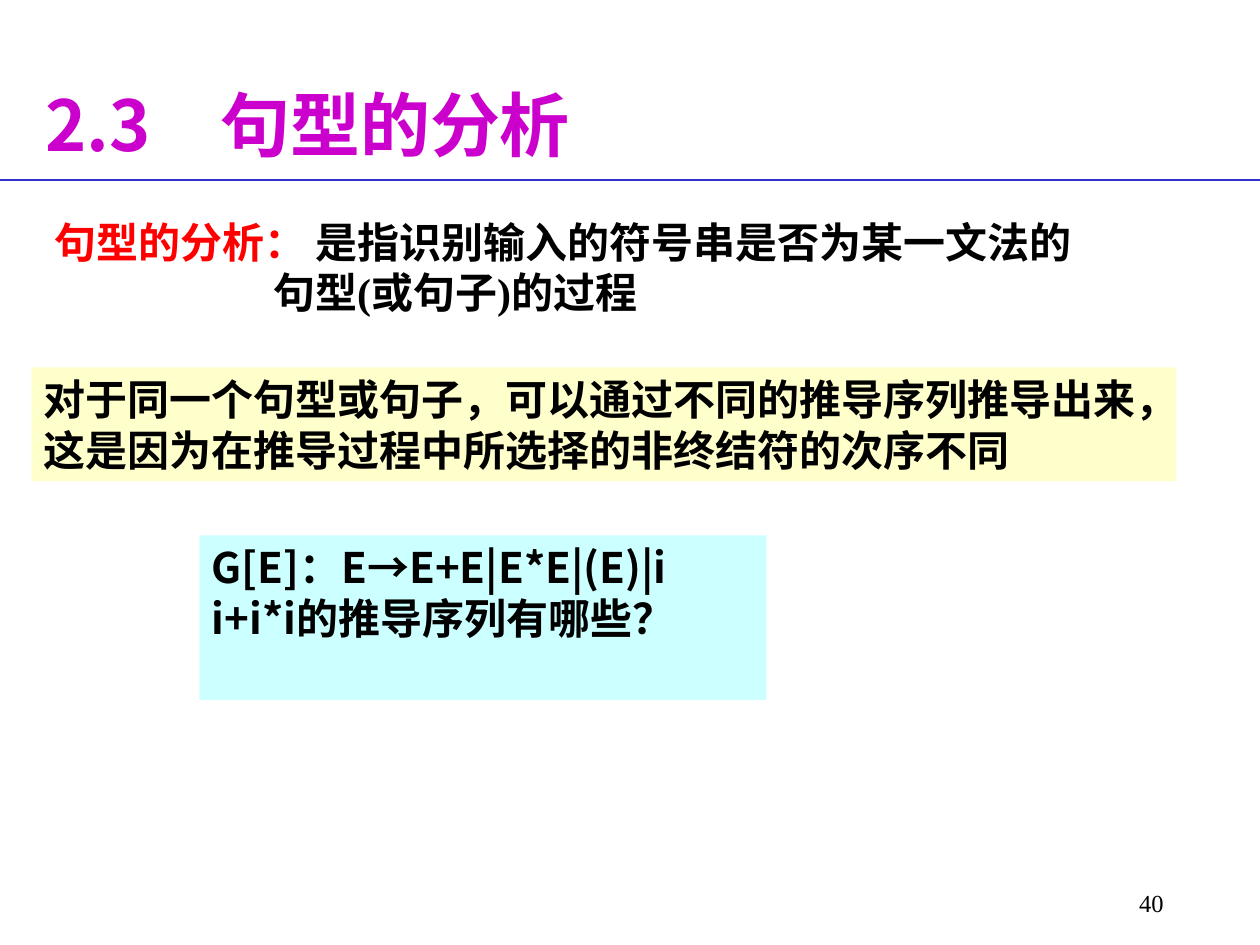
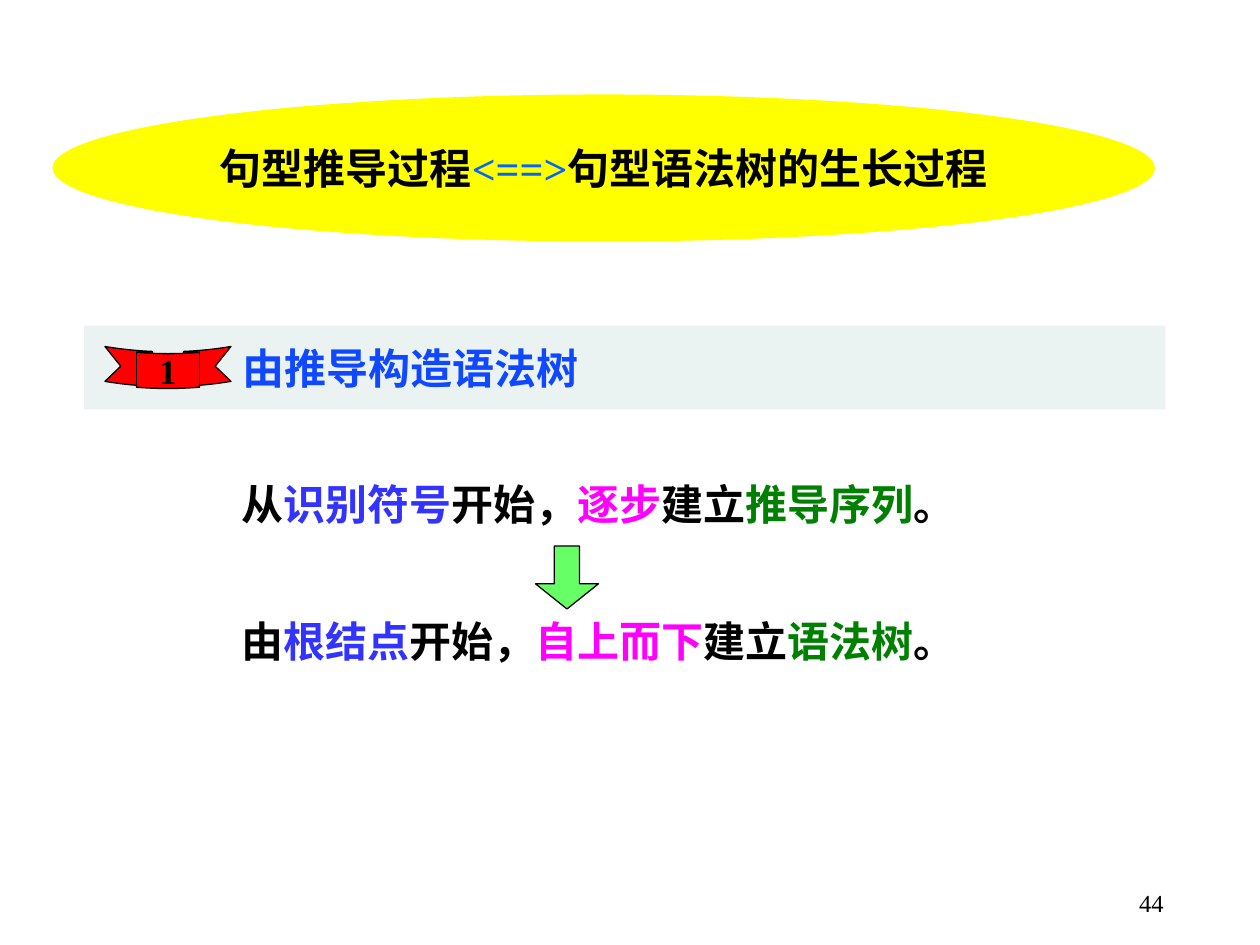
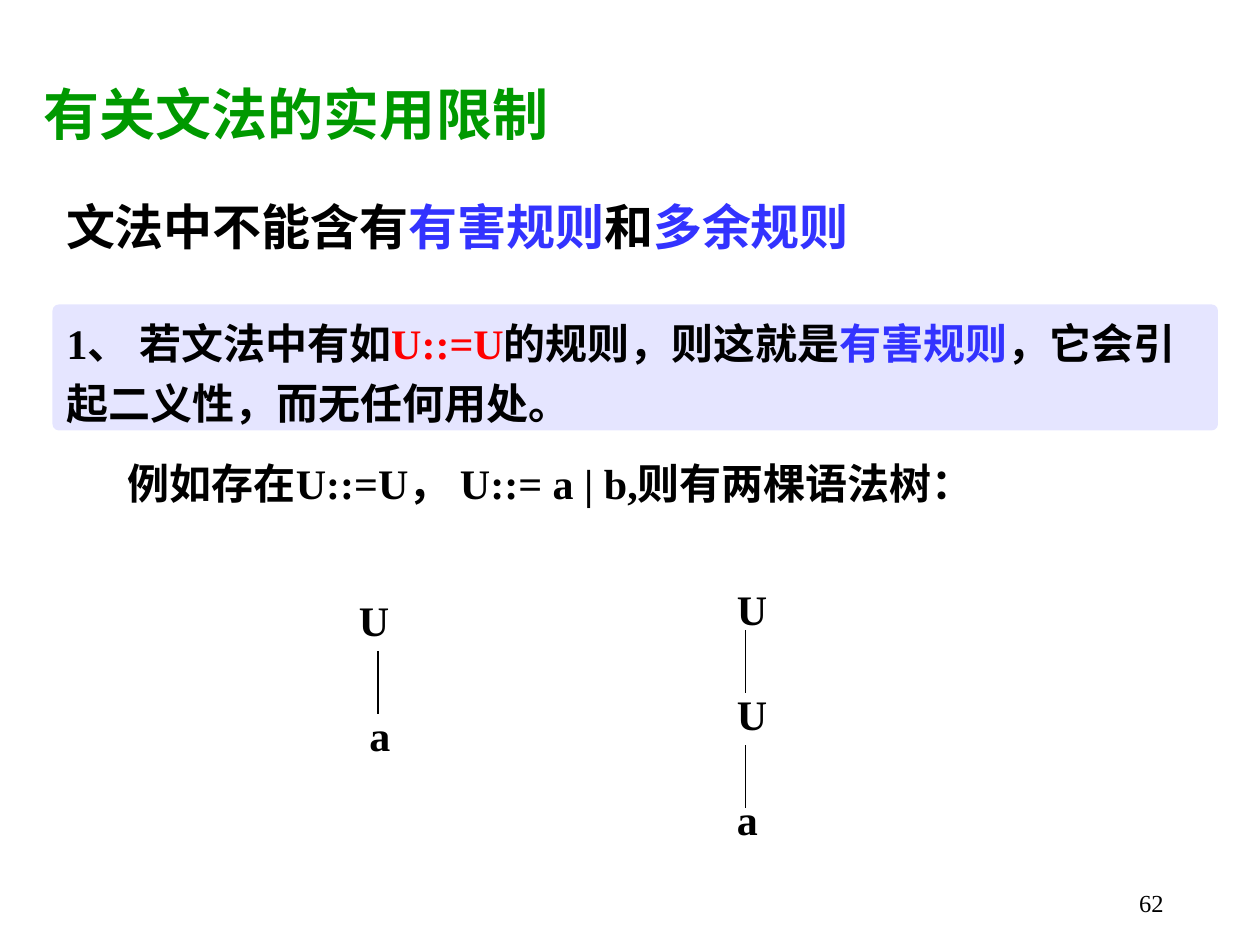
from dataclasses import dataclass
from typing import NamedTuple, Optional

from lxml.etree import SubElement
from pptx import Presentation
from pptx.dml.color import RGBColor
from pptx.enum.shapes import MSO_CONNECTOR, MSO_SHAPE as Preset
from pptx.enum.text import MSO_ANCHOR as Anchor, PP_ALIGN as Align
from pptx.oxml.ns import qn
from pptx.slide import Slide
from pptx.util import Pt


@dataclass(frozen=True)
class Theme:
    black: str = "000000"
    red: str = "FF0000"
    blue: str = "3333FF"
    magenta: str = "FF00FF"
    green: str = "008000"
    equivalence: str = "0066FF"
    section: str = "0F48FF"
    chapter_title: str = "CC00CC"
    topic_title: str = "009900"
    rule: str = "3333CC"
    cream: str = "FFFFCC"
    aqua: str = "CCFFFF"
    yellow: str = "FFFF00"
    mist: str = "D9E6E6"
    lavender: str = "CCCCFF"
    arrow: str = "66FF66"
    serif: str = "Times New Roman"
    sans: str = "Noto Sans CJK SC"
    chapter_size: int = 40
    topic_size: int = 32
    statement_size: int = 28
    body_size: int = 24
    badge_size: int = 20
    number_size: int = 14


THEME = Theme()


class Box(NamedTuple):
    left: float
    top: float
    width: float
    height: float


class Run(NamedTuple):
    text: str
    color: str = THEME.black


class Line(NamedTuple):
    """One paragraph: its runs and its left indent."""
    runs: list[Run]
    indent: float = 0


@dataclass(frozen=True)
class Block:
    """Text in a plain box or, when preset is given, in a shape."""
    box: Box
    lines: tuple[Line, ...] = ()
    preset: Optional[Preset] = None
    adjustments: tuple[float, ...] = ()
    fill: Optional[str] = None
    opacity: int = 100
    outlined: bool = False
    size: int = THEME.body_size
    font: str = THEME.serif
    bold: bool = True
    align: Align = Align.LEFT
    anchor: Anchor = Anchor.TOP
    spacing: float = 1.0
    wrap: bool = True


class Segment(NamedTuple):
    start: tuple[float, float]
    end: tuple[float, float]
    color: str = THEME.black
    weight: float = 0.75


def rgb(color: str) -> RGBColor:
    return RGBColor.from_string(color)


def draw_block(slide: Slide, block: Block) -> None:
    place = [Pt(length) for length in block.box]
    if block.preset is None:
        shape = slide.shapes.add_textbox(*place)
    else:
        shape = slide.shapes.add_shape(block.preset, *place)
        shape.shadow.inherit = False
        for index, value in enumerate(block.adjustments):
            shape.adjustments[index] = value
        paint(shape, block)

    frame = shape.text_frame
    frame.word_wrap = block.wrap
    frame.vertical_anchor = block.anchor
    for index, line in enumerate(block.lines):
        paragraph = frame.add_paragraph() if index else frame.paragraphs[0]
        paragraph.alignment = block.align
        paragraph.line_spacing = block.spacing
        if line.indent:
            paragraph._p.get_or_add_pPr().set("marL", str(Pt(line.indent)))
        for part in line.runs:
            run = paragraph.add_run()
            run.text = part.text
            run.font.size = Pt(block.size)
            run.font.bold = block.bold
            run.font.name = block.font
            run.font.color.rgb = rgb(part.color)
            SubElement(run.font._element, qn("a:ea"), typeface=THEME.sans)


def paint(shape, block: Block) -> None:
    if block.fill:
        shape.fill.solid()
        shape.fill.fore_color.rgb = rgb(block.fill)
        if block.opacity < 100:
            tint = shape.element.spPr.find(f"{qn('a:solidFill')}/{qn('a:srgbClr')}")
            SubElement(tint, qn("a:alpha"), val=str(block.opacity * 1000))
    else:
        shape.fill.background()
    if block.outlined:
        shape.line.color.rgb = rgb(THEME.black)
        shape.line.width = Pt(0.75)
    else:
        shape.line.fill.background()


def draw_segment(slide: Slide, segment: Segment) -> None:
    ends = [Pt(length) for length in (*segment.start, *segment.end)]
    connector = slide.shapes.add_connector(MSO_CONNECTOR.STRAIGHT, *ends)
    connector.line.color.rgb = rgb(segment.color)
    connector.line.width = Pt(segment.weight)
    SubElement(connector.element.spPr, qn("a:effectLst"))


def add_page(deck, number: int, blocks: list[Block], segments: list[Segment]) -> None:
    slide = deck.slides.add_slide(deck.slide_layouts[6])
    page_number = Block(Box(522, 504, 150, 36), (Line([Run(str(number))]),),
                        size=THEME.number_size, bold=False, align=Align.RIGHT)
    for block in [*blocks, page_number]:
        draw_block(slide, block)
    for segment in segments:
        draw_segment(slide, segment)


def add_analysis_page(deck) -> None:
    title = Block(Box(18.7, 39.6, 443, 62),
                  (Line([Run("2.3\u3000句型的分析".replace("\u3000", "　"), THEME.chapter_title)]),),
                  size=THEME.chapter_size, font=THEME.sans, anchor=Anchor.MIDDLE)
    definition = Block(Box(24, 120, 670, 65), (
        Line([Run("句型的分析：", THEME.red),
              Run(" 是指识别输入的符号串是否为某一文法的")]),
        Line([Run("句型(或句子)的过程")], indent=125),
    ))
    reason = Block(Box(18, 210, 654, 65), (
        Line([Run("对于同一个句型或句子，可以通过不同的推导序列推导出来，"
                  "这是因为在推导过程中所选择的非终结符的次序不同")]),
    ), Preset.RECTANGLE, fill=THEME.cream)
    question = Block(Box(114, 306, 324, 94), (
        Line([Run("G[E]：E→E+E|E*E|(E)|i")]),
        Line([Run("i+i*i的推导序列有哪些？")]),
    ), Preset.RECTANGLE, fill=THEME.aqua, font=THEME.sans)
    title_rule = Segment((0, 103), (720, 103), THEME.rule, 1)
    add_page(deck, 40, [title, definition, reason, question], [title_rule])


def build_step(box: Box, origin: str, start: str, manner: str, result: str) -> Block:
    return Block(box, (Line([
        Run(origin), Run(start, THEME.blue), Run("开始，"), Run(manner, THEME.magenta),
        Run("建立"), Run(result, THEME.green), Run("。"),
    ]),), align=Align.CENTER)


def add_tree_growth_page(deck) -> None:
    equivalence = Block(Box(30, 54, 630, 84), (
        Line([Run("句型推导过程"), Run("<==>", THEME.equivalence),
              Run("句型语法树的生长过程")]),
    ), Preset.OVAL, fill=THEME.yellow, align=Align.CENTER, anchor=Anchor.MIDDLE, wrap=False)
    section = Block(Box(48, 186, 618, 48),
                    (Line([Run("由推导构造语法树", THEME.section)], indent=83.5),),
                    Preset.RECTANGLE, fill=THEME.mist, opacity=50, anchor=Anchor.MIDDLE)
    badge = Block(Box(60, 198, 72, 24), (Line([Run("1")]),),
                  Preset.CURVED_DOWN_RIBBON, (0.17, 0.5, 0.125), THEME.red, outlined=True,
                  size=THEME.badge_size, align=Align.CENTER, anchor=Anchor.MIDDLE, wrap=False)
    derivation = build_step(Box(54, 270, 576, 36), "从", "识别符号", "逐步", "推导序列")
    tree = build_step(Box(48, 348, 588, 36), "由", "根结点", "自上而下", "语法树")
    arrow = Block(Box(306, 312, 36, 36), (), Preset.DOWN_ARROW, (0.4, 0.4),
                  THEME.arrow, outlined=True)
    add_page(deck, 44, [equivalence, section, badge, derivation, tree, arrow], [])


def add_restrictions_page(deck) -> None:
    title = Block(Box(18, 42, 444, 46),
                  (Line([Run("有关文法的实用限制", THEME.topic_title)]),),
                  size=THEME.topic_size)
    statement = Block(Box(30, 102, 648, 48), (
        Line([Run("文法中不能含有"), Run("有害规则", THEME.blue), Run("和"),
              Run("多余规则", THEME.blue)]),
    ), Preset.ROUNDED_RECTANGLE, (0.05,), size=THEME.statement_size,
        anchor=Anchor.MIDDLE, spacing=1.2, wrap=False)
    harmful_rule = Block(Box(30, 174, 666, 72), (
        Line([Run("1、 若文法中有如"), Run("U::=U", THEME.red), Run("的规则，则这就是"),
              Run("有害规则", THEME.blue), Run("，它会引")]),
        Line([Run("起二义性，而无任何用处。")]),
    ), Preset.ROUNDED_RECTANGLE, (0.05,), THEME.lavender, 50,
        anchor=Anchor.MIDDLE, spacing=1.2, wrap=False)
    example = Block(Box(54, 258, 630, 36), (
        Line([Run("例如存在U::=U， U::= a | b,则有两棵语法树：")], indent=12),
    ))
    nodes = [("U", 198, 336), ("a", 204, 402)]
    nodes += [(symbol, 414, 330 + 60 * level) for level, symbol in enumerate("UUa")]
    node_labels = [Block(Box(left, top, 30, 36), (Line([Run(symbol)]),))
                   for symbol, left, top in nodes]
    branches = [Segment((x, top), (x, top + 36))
                for x, top in [(216, 372), (426, 360), (426, 426)]]
    add_page(deck, 62, [title, statement, harmful_rule, example, *node_labels], branches)


def main() -> None:
    deck = Presentation()
    deck.slide_width, deck.slide_height = Pt(720), Pt(540)
    add_analysis_page(deck)
    add_tree_growth_page(deck)
    add_restrictions_page(deck)
    deck.save("out.pptx")


if __name__ == "__main__":
    main()
